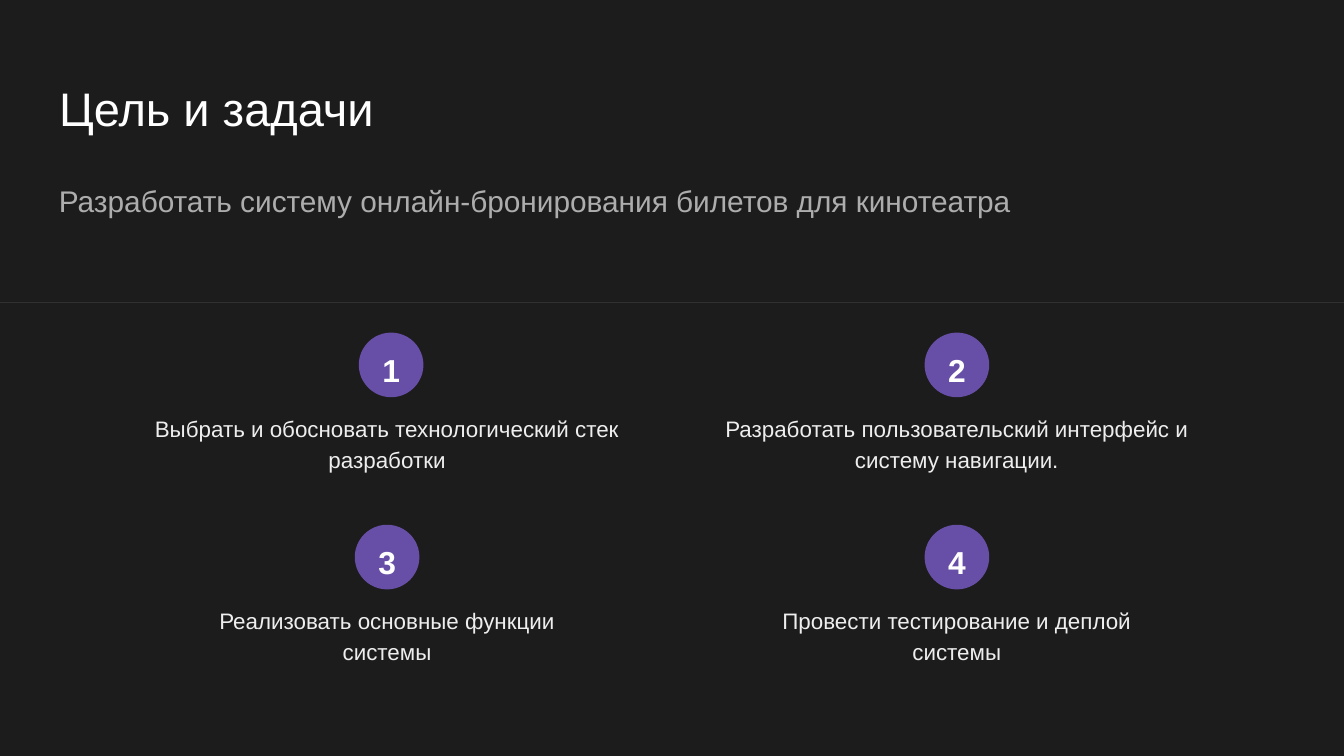
import pptx
import pptx.util
import pptx.dml.color
import pptx.enum.shapes
import pptx.enum.text
import pptx.oxml

Inches = pptx.util.Inches
COLORS = {
    "back": "1C1C1C",
    "title": "FFFFFF",
    "goal": "ADADAD",
    "task": "EEEEEE",
    "badge": "674EA7",
    "rule": "303030",
}


def color(name):
    return pptx.dml.color.RGBColor.from_string(COLORS[name])


def write(frame, text, size, ink, bold=False, center=False, space=None, grow=True):
    align = pptx.enum.text.PP_ALIGN
    fit = pptx.enum.text.MSO_AUTO_SIZE
    frame.word_wrap = True
    frame.auto_size = fit.SHAPE_TO_FIT_TEXT if grow else fit.NONE
    frame.vertical_anchor = pptx.enum.text.MSO_ANCHOR.TOP
    for side in ("left", "top", "right", "bottom"):
        setattr(frame, "margin_" + side, Inches(0.1))
    para = frame.paragraphs[0]
    para.alignment = align.CENTER if center else align.LEFT
    para.line_spacing = space
    run = para.add_run()
    run.text = text
    run.font.name = "Arial"
    run.font.size = pptx.util.Pt(size)
    run.font.bold = bold
    run.font.color.rgb = color(ink)


class Deck:
    def __init__(self):
        self.file = pptx.Presentation()
        self.file.slide_width = Inches(10)
        self.file.slide_height = Inches(10) * 9 // 16
        self.slide = self.file.slides.add_slide(self.file.slide_layouts[5])
        fill = self.slide.background.fill
        fill.solid()
        fill.fore_color.rgb = color("back")

    def title(self, text, left, top, width, height):
        shape = self.slide.shapes.title
        shape.left, shape.top = Inches(left), Inches(top)
        shape.width, shape.height = Inches(width), Inches(height)
        write(shape.text_frame, text, 25.2, "title", grow=False)

    def text(self, text, left, top, width, height, **style):
        box = self.slide.shapes.add_textbox(
            Inches(left), Inches(top), Inches(width), Inches(height))
        write(box.text_frame, text, **style)

    def badge(self, left, top, size):
        shape = self.slide.shapes.add_shape(
            pptx.enum.shapes.MSO_SHAPE.OVAL,
            Inches(left), Inches(top), Inches(size), Inches(size))
        shape.shadow.inherit = False
        shape.fill.solid()
        shape.fill.fore_color.rgb = color("badge")
        shape.line.color.rgb = color("badge")
        shape.line.width = pptx.util.Pt(2.25)

    def rule(self, top):
        line = self.slide.shapes.add_connector(
            pptx.enum.shapes.MSO_CONNECTOR.STRAIGHT,
            Inches(-0.01), Inches(top), Inches(10.01), Inches(top))
        line.line.color.rgb = color("rule")
        line.line.width = pptx.util.Pt(0.75)
        props = line._element.spPr
        props.append(pptx.oxml.parse_xml(
            '<a:effectLst xmlns:a="http://schemas.openxmlformats.org/drawingml/2006/main"/>'))

    def task(self, num, text, mid, top, width, height, shift):
        size, box = 0.45, 0.48
        heart = mid + shift
        self.badge(heart - size / 2, top, size)
        self.text(num, heart - box / 2, top - 0.02, box, 0.49,
                  size=17, ink="title", bold=True, center=True, space=1.15)
        self.text(text, mid - width / 2, top + 0.47, width, height,
                  size=12, ink="task", center=True, space=1.15)


def main():
    deck = Deck()
    deck.title("Цель и задачи", 0.34, 0.49, 9.32, 0.63)
    deck.text("Разработать систему онлайн-бронирования билетов для кинотеатра",
              0.34, 1.26, 9.63, 0.77, size=16, ink="goal")
    deck.rule(2.25)
    tasks = [
        ("Выбрать и обосновать технологический стек разработки", 3.85, 0.64, 0.03),
        ("Разработать пользовательский интерфейс и систему навигации.", 3.85, 0.64, 0),
        ("Реализовать основные функции системы", 3.28, 0.64, 0),
        ("Провести тестирование и деплой системы", 3.5, 0.97, 0),
    ]
    for i, (text, width, height, shift) in enumerate(tasks):
        row, col = divmod(i, 2)
        deck.task(str(i + 1), text, 2.88 + 4.24 * col, 2.49 + 1.43 * row,
                  width, height, shift)
    deck.file.save("out.pptx")


if __name__ == "__main__":
    main()
